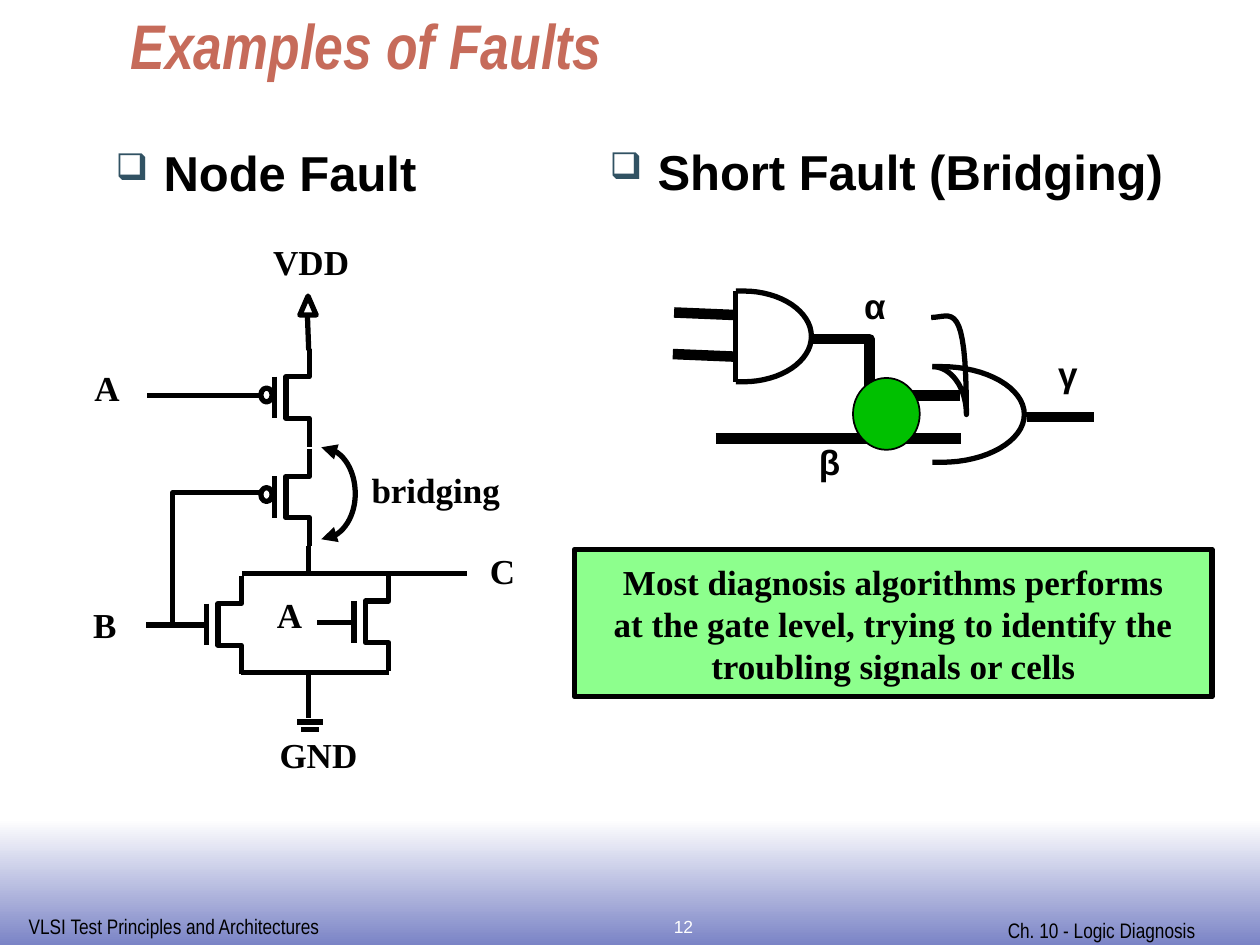
from dataclasses import dataclass
from lxml.etree import SubElement
from pptx import Presentation
from pptx.dml.color import RGBColor
from pptx.enum.shapes import MSO_CONNECTOR, MSO_SHAPE
from pptx.enum.text import MSO_ANCHOR, PP_ALIGN
from pptx.oxml.ns import qn
from pptx.util import Inches, Pt


@dataclass(frozen=True)
class Theme:
    ink: str = "000000"
    paper: str = "FFFFFF"
    title: str = "C66B5A"
    bullet: str = "315263"
    footer: str = "7B84C6"
    note: str = "8DFF8D"
    short: str = "00C000"
    sans: str = "Arial"
    narrow: str = "Arial Narrow"
    serif: str = "Times New Roman"
    title_size: float = 36
    head_size: float = 28
    label_size: float = 20
    foot_size: float = 12
    page_size: float = 10
    hair: float = 1
    wire: float = 3
    bus: float = 6


COLS, ROWS = 100, 75


def bezier(start, *segments, steps=16):
    points = [start]
    for a, b, end in segments:
        p0 = points[-1]
        for i in range(1, steps + 1):
            t = i / steps
            u = 1 - t
            points.append(tuple(u**3 * w + 3 * u * u * t * x + 3 * u * t * t * y + t**3 * z
                                for w, x, y, z in zip(p0, a, b, end)))
    return points


class Sketch:
    def __init__(self, prs, theme):
        self.t = theme
        self.cell = prs.slide_width // COLS
        self.shapes = prs.slides.add_slide(prs.slide_layouts[6]).shapes

    def at(self, *lengths):
        return [round(n * self.cell) for n in lengths]

    def stroke(self, line, width):
        line.color.rgb = RGBColor.from_string(self.t.ink)
        line.width = Pt(width)

    def fill_text(self, tf, text, font, size, color=None, bold=False, italic=False,
                  align=PP_ALIGN.LEFT, wrap=True):
        tf.text = text
        tf.word_wrap = wrap
        for p in tf.paragraphs:
            p.alignment = align
            for r in p.runs:
                r.font.name, r.font.size = font, Pt(size)
                r.font.bold, r.font.italic = bold, italic
                r.font.color.rgb = RGBColor.from_string(color or self.t.ink)

    def text(self, box, text, font, size, **style):
        tb = self.shapes.add_textbox(*self.at(*box))
        self.fill_text(tb.text_frame, text, font, size, **style)
        return tb.text_frame

    def label(self, x, y, w, text, font=None):
        self.text((x, y, w, 4.4), text, font or self.t.serif, self.t.label_size,
                  bold=True, wrap=False)

    def heading(self, box, text):
        tf = self.text(box, text, self.t.sans, self.t.head_size, bold=True)
        pPr = tf.paragraphs[0]._p.get_or_add_pPr()
        indent = Inches(0.38)
        pPr.set("marL", str(indent))
        pPr.set("indent", str(-indent))
        color = SubElement(pPr, qn("a:buClr"))
        SubElement(color, qn("a:srgbClr"), val=self.t.bullet)
        SubElement(pPr, qn("a:buSzPct"), val="75000")
        SubElement(pPr, qn("a:buChar"), char="❑")

    def shape(self, kind, box, fill=None, width=None):
        s = self.shapes.add_shape(kind, *self.at(*box))
        s.shadow.inherit = False
        if fill:
            s.fill.solid()
            s.fill.fore_color.rgb = RGBColor.from_string(fill)
        else:
            s.fill.background()
        if width:
            self.stroke(s.line, width)
        else:
            s.line.fill.background()
        return s

    def footer_band(self, box):
        s = self.shape(MSO_SHAPE.RECTANGLE, box)
        s.fill.gradient()
        s.fill.gradient_angle = 270
        colors = (self.t.paper, self.t.footer)
        for stop, color, place in zip(s.fill.gradient_stops, colors, (0, 1)):
            stop.color.rgb = RGBColor.from_string(color)
            stop.position = place

    def note(self, box, lines):
        s = self.shape(MSO_SHAPE.RECTANGLE, box, self.t.note, self.t.wire)
        self.fill_text(s.text_frame, "\n".join(lines), self.t.serif, self.t.label_size,
                       bold=True, align=PP_ALIGN.CENTER, wrap=False)
        s.text_frame.vertical_anchor = MSO_ANCHOR.MIDDLE

    def wire(self, x1, y1, x2, y2, width=None):
        c = self.shapes.add_connector(MSO_CONNECTOR.STRAIGHT, *self.at(x1, y1, x2, y2))
        self.stroke(c.line, width or self.t.wire)
        SubElement(c._element.spPr, qn("a:effectLst"))

    def outline(self, points, width=None, arrows=False):
        start, *rest = [self.at(*point) for point in points]
        fb = self.shapes.build_freeform(*start)
        fb.add_line_segments(rest, close=False)
        s = fb.convert_to_shape()
        s.shadow.inherit = False
        s.fill.background()
        self.stroke(s.line, width or self.t.wire)
        if arrows:
            ln = s._element.spPr.find(qn("a:ln"))
            for end in ("a:headEnd", "a:tailEnd"):
                SubElement(ln, qn(end), type="triangle")

    def transistor(self, x, y, bubble=False):
        steps = ((1.85, 0), (1.85, 2.2), (0, 2.2), (0, 5.5), (1.85, 5.5), (1.85, 7.75))
        self.outline([(x + dx, y + dy) for dx, dy in steps])
        self.wire(x - 0.9, y + 2.2, x - 0.9, y + 5.5)
        if bubble:
            self.shape(MSO_SHAPE.OVAL, (x - 2, y + 3.1, 0.9, 1.1), width=self.t.wire)

    def gate_body(self, x, y, flat, rx, ry):
        mid, low, edge = x + flat, y + 2 * ry, x + flat + rx
        k = 0.55
        self.outline([(x, y)] + bezier(
            (mid, y),
            ((mid + k * rx, y), (edge, y + (1 - k) * ry), (edge, y + ry)),
            ((edge, y + (1 + k) * ry), (mid + k * rx, low), (mid, low))) + [(x, low)])


def draw_frame(sk, t):
    sk.footer_band((0, 65, COLS, ROWS - 65))
    sk.text((1.3, 72, 25.3, 3), "VLSI Test Principles and Architectures", t.narrow, t.foot_size)
    sk.text((79, 72.3, 19.6, 3), "Ch. 10 - Logic Diagnosis", t.narrow, t.foot_size)
    sk.text((42.6, 72.2, 23.3, 2.8), "12", t.sans, t.page_size, color=t.paper,
            align=PP_ALIGN.CENTER)
    sk.text((9.4, 0, 81.9, 7), "Examples of Faults", t.narrow, t.title_size,
            color=t.title, bold=True, italic=True)
    sk.heading((8.2, 10.8, 34.2, 6.9), "Node Fault")
    sk.heading((47.4, 10.7, 46.5, 6.9), "Short Fault (Bridging)")


def draw_node_fault(sk, t):
    for x, y, bubble in ((22.7, 27.7, True), (22.7, 35.6, True),
                         (17.3, 45.7, False), (29, 45.5, False)):
        sk.transistor(x, y, bubble)
    sk.shape(MSO_SHAPE.ISOSCELES_TRIANGLE, (23.8, 23.5, 1.3, 1.5), width=t.wire)
    for ends in ((24.4, 25, 24.5, 27.8), (24.5, 43.3, 24.5, 45.5),
                 (19.2, 45.5, 37.1, 45.5), (19.1, 53.4, 30.9, 53.4),
                 (24.5, 53.5, 24.5, 57), (23.6, 57.3, 25.6, 57.3),
                 (23.9, 57.9, 25.3, 57.9), (11.6, 49.6, 16.2, 49.6),
                 (11.7, 31.4, 20.9, 31.4), (25.2, 49.4, 28.1, 49.4)):
        sk.wire(*ends)
    sk.outline([(13.7, 49.6), (13.7, 39.1), (20.8, 39.1)])
    sk.outline(bezier((25.5, 35.5), ((27, 35.5), (28.2, 37.1), (28.2, 39.2)),
                      ((28.2, 41.2), (27, 42.8), (25.5, 42.8))), arrows=True)
    for x, y, w, text in ((20.7, 18.6, 8, "VDD"), (6.5, 28.6, 4, "A"),
                          (6.4, 47.4, 3.8, "B"), (21, 46.6, 4, "A"),
                          (28.5, 36.7, 12.2, "bridging"),
                          (21.2, 57.7, 8.2, "GND"), (37.9, 43.1, 4, "C")):
        sk.label(x, y, w, text)


def draw_short_fault(sk, t):
    sk.note((45.6, 43.6, 50.6, 11.7), ("Most diagnosis algorithms performs",
                                       "at the gate level, trying to identify the",
                                       "troubling signals or cells"))
    sk.gate_body(58.4, 23.1, 0.6, 5.4, 3.6)
    sk.wire(58.4, 23.1, 58.4, 30.3)
    sk.gate_body(74, 29.1, 0.7, 6.6, 3.8)
    sk.outline(bezier((74, 29.1), ((75.5, 29.1), (76.7, 30.8), (76.7, 32.9)),
                      ((76.7, 23.5), (75.5, 25.2), (73.9, 25.2))))
    for x, y, w, text in ((67.6, 22.1, 3.7, "α"), (64, 34.5, 3.5, "β"), (83, 27.5, 3.5, "γ")):
        sk.label(x, y, w, text, t.sans)
    sk.outline([(64.4, 26.9), (69, 26.9), (69, 31.4), (76.2, 31.4)], t.bus)
    for ends in ((56.8, 34.8, 76.3, 34.8), (81.5, 33.1, 86.8, 33.1),
                 (53.5, 24.8, 58.3, 25), (53.4, 28.1, 58.2, 28.3)):
        sk.wire(*ends, width=t.bus)
    sk.shape(MSO_SHAPE.OVAL, (67.7, 30, 5.3, 5.7), t.short, t.hair)


def main():
    prs = Presentation()
    prs.slide_width, prs.slide_height = Inches(10), Inches(7.5)
    t = Theme()
    sk = Sketch(prs, t)
    draw_frame(sk, t)
    draw_node_fault(sk, t)
    draw_short_fault(sk, t)
    prs.save("out.pptx")


if __name__ == "__main__":
    main()
